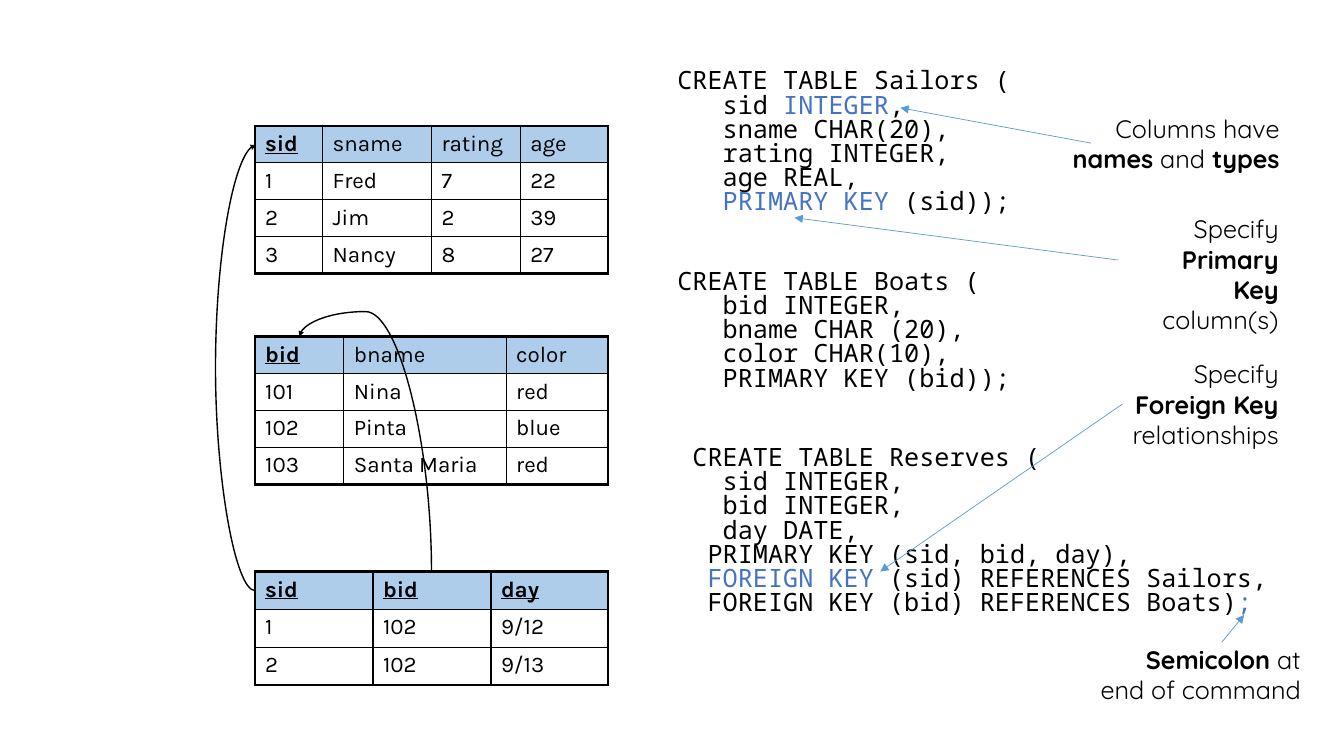
from lxml import etree
from pptx import Presentation
from pptx import util as u
from pptx.dml.color import RGBColor
from pptx.enum import shapes, text
from pptx.oxml import ns

BLACK = RGBColor(0x00, 0x00, 0x00)
WHITE = RGBColor(0xFF, 0xFF, 0xFF)
HEADER_BLUE = RGBColor(0xAD, 0xCD, 0xEA)
KEYWORD_BLUE = RGBColor(0x44, 0x72, 0xC4)
ARROW_BLUE = RGBColor(0x5B, 0x9B, 0xD5)

TABLE_LEFT = 2.53
RELATIONS = [
    (1.25, 0.366, [0.67, 1.08, 0.88, 0.87], {"sid"},
     ["sid sname rating age", "1 Fred 7 22", "2 Jim 2 39", "3 Nancy 8 27"]),
    (3.34, 0.366, [0.88, 1.61, 1.01], {"bid"},
     ["bid bname color", "101 Nina red", "102 Pinta blue", "103 Santa_Maria red"]),
    (5.67, 0.375, [1.17, 1.17, 1.16], {"sid", "bid", "day"},
     ["sid bid day", "1 102 9/12", "2 102 9/13"]),
]

STATEMENTS = [
    """CREATE TABLE Sailors (
   sid |INTEGER|,
   sname CHAR(20),
   rating INTEGER,
   age REAL,
   |PRIMARY KEY| (sid));""",
    """CREATE TABLE Boats (
   bid INTEGER,
   bname CHAR (20),
   color CHAR(10),
   PRIMARY KEY (bid));""",
    """ CREATE TABLE Reserves (
   sid INTEGER,
   bid INTEGER,
   day DATE,
  PRIMARY KEY (sid, bid, day),
  |FOREIGN KEY| (sid) REFERENCES Sailors,
  FOREIGN KEY (bid) REFERENCES Boats)|;|""",
]

NOTES = [
    ((10.46, 1.07, 2.33, 0.71), "Columns have\n|names| and |types|"),
    ((11.23, 2.07, 1.55, 1.01), "Specify\n|Primary Key|\ncolumn(s)"),
    ((11.09, 3.51, 1.69, 1.01), "Specify\n|Foreign Key|\nrelationships"),
    ((10.62, 6.34, 2.38, 0.71), "|Semicolon| at\nend of command"),
]
NOTE_ARROWS = [
    ((11.09, 2.58), (7.88, 2.16)),
    ((10.82, 1.42), (8.93, 1.07)),
    ((11.13, 4.01), (8.73, 5.67)),
    ((12.12, 6.37), (12.34, 6.1)),
]
KEY_LINKS = [
    ((2.54, 1.44), (2.53, 5.86), 180, -40),
    ((4.79, 3.85), (2.46, 5.16), 90, 1.107),
]


def inches(values):
    """Convert a sequence of numbers to lengths."""
    return [u.Inches(value) for value in values]


def add_text(slide, box):
    """Add an empty wrapping text frame in the box."""
    frame = slide.shapes.add_textbox(*inches(box)).text_frame
    frame.word_wrap = True
    frame.auto_size = text.MSO_AUTO_SIZE.NONE
    return frame


def write_line(paragraph, line, font_name, emphasise):
    """Write a line whose parts between bars are emphasised."""
    for index, part in enumerate(line.split("|")):
        if part:
            run = paragraph.add_run()
            run.text = part
            run.font.name = font_name
            run.font.size = u.Pt(18)
            run.font.color.rgb = BLACK
            if index % 2:
                emphasise(run.font)


def colour_keyword(font):
    """Colour a keyword of the code."""
    font.color.rgb = KEYWORD_BLUE


def embolden(font):
    """Make a term in a note bold."""
    font.bold = True


def add_code(slide, box):
    """Write the SQL statements, set apart by paragraph spacing."""
    frame = add_text(slide, box)
    paragraph = frame.paragraphs[0]
    for number, statement in enumerate(STATEMENTS):
        for row, line in enumerate(statement.split("\n")):
            if number or row:
                paragraph = frame.add_paragraph()
            paragraph.line_spacing = 0.8
            if number and not row:
                paragraph.space_before = u.Pt(39.4)
            write_line(paragraph, line, "Noto Sans Mono", colour_keyword)


def add_note(slide, box, note):
    """Write a right-aligned note in the box."""
    frame = add_text(slide, box)
    for row, line in enumerate(note.split("\n")):
        paragraph = frame.add_paragraph() if row else frame.paragraphs[0]
        paragraph.alignment = text.PP_ALIGN.RIGHT
        write_line(paragraph, line, "Quicksand", embolden)


def set_borders(cell, outer_sides):
    """Draw thick lines on the outer sides of a cell and thin ones elsewhere."""
    properties = cell._tc.get_or_add_tcPr()
    for position, side in enumerate("LRTB"):
        width = u.Pt(2.25 if side in outer_sides else 1)
        border = etree.Element(ns.qn(f"a:ln{side}"), w=str(width))
        fill = etree.SubElement(border, ns.qn("a:solidFill"))
        etree.SubElement(fill, ns.qn("a:srgbClr"), val=str(BLACK))
        properties.insert(position, border)


def add_relation(slide, top, row_height, widths, keys, records):
    """Add the table of one relation with its key columns underlined."""
    last_row, last_column = len(records) - 1, len(widths) - 1
    box = (TABLE_LEFT, top, sum(widths), row_height * len(records))
    table = slide.shapes.add_table(len(records), len(widths), *inches(box)).table
    for column, width in zip(table.columns, widths):
        column.width = u.Inches(width)
    for r, record in enumerate(records):
        table.rows[r].height = u.Inches(row_height)
        for c, value in enumerate(record.split()):
            cell = table.cell(r, c)
            cell.text = value.replace("_", " ")
            cell.fill.solid()
            cell.fill.fore_color.rgb = WHITE if r else HEADER_BLUE
            font = cell.text_frame.paragraphs[0].runs[0].font
            font.name, font.size = "Karla", u.Pt(16)
            font.color.rgb = BLACK
            font.bold = font.underline = r == 0 and value in keys
            edges = {"L": c == 0, "R": c == last_column, "T": r == 0, "B": r == last_row}
            set_borders(cell, [side for side, outer in edges.items() if outer])


def add_arrow(slide, kind, start, end, colour, width, head="med"):
    """Add a connector with a triangle at its end."""
    arrow = slide.shapes.add_connector(kind, *inches(start + end))
    arrow.line.color.rgb = colour
    arrow.line.width = u.Pt(width)
    etree.SubElement(arrow.line._get_or_add_ln(), ns.qn("a:tailEnd"),
                     type="triangle", w=head, len=head)
    etree.SubElement(arrow._element.spPr, ns.qn("a:effectLst"))
    return arrow


def add_key_link(slide, start, end, degrees, bend):
    """Add a curved arrow, turned about its centre, from foreign to primary key."""
    link = add_arrow(slide, shapes.MSO_CONNECTOR.CURVE, start, end, BLACK, 1, "sm")
    properties = link._element.spPr
    properties.find(ns.qn("a:xfrm")).set("rot", str(degrees * 60000))
    guides = properties.find(ns.qn("a:prstGeom")).find(ns.qn("a:avLst"))
    etree.SubElement(guides, ns.qn("a:gd"), name="adj1", fmla=f"val {round(bend * 100000)}")


def main():
    """Build the slide on table definitions and keys."""
    deck = Presentation()
    deck.slide_width, deck.slide_height = inches((13.33, 7.5))
    slide = deck.slides.add_slide(deck.slide_layouts[6])
    add_code(slide, (6.62, 0.65, 6.17, 5.58))
    for relation in RELATIONS:
        add_relation(slide, *relation)
    for key_link in KEY_LINKS:
        add_key_link(slide, *key_link)
    for box, note in NOTES:
        add_note(slide, box, note)
    for start, end in NOTE_ARROWS:
        add_arrow(slide, shapes.MSO_CONNECTOR.STRAIGHT, start, end, ARROW_BLUE, 0.5)
    deck.save("out.pptx")


if __name__ == "__main__":
    main()
